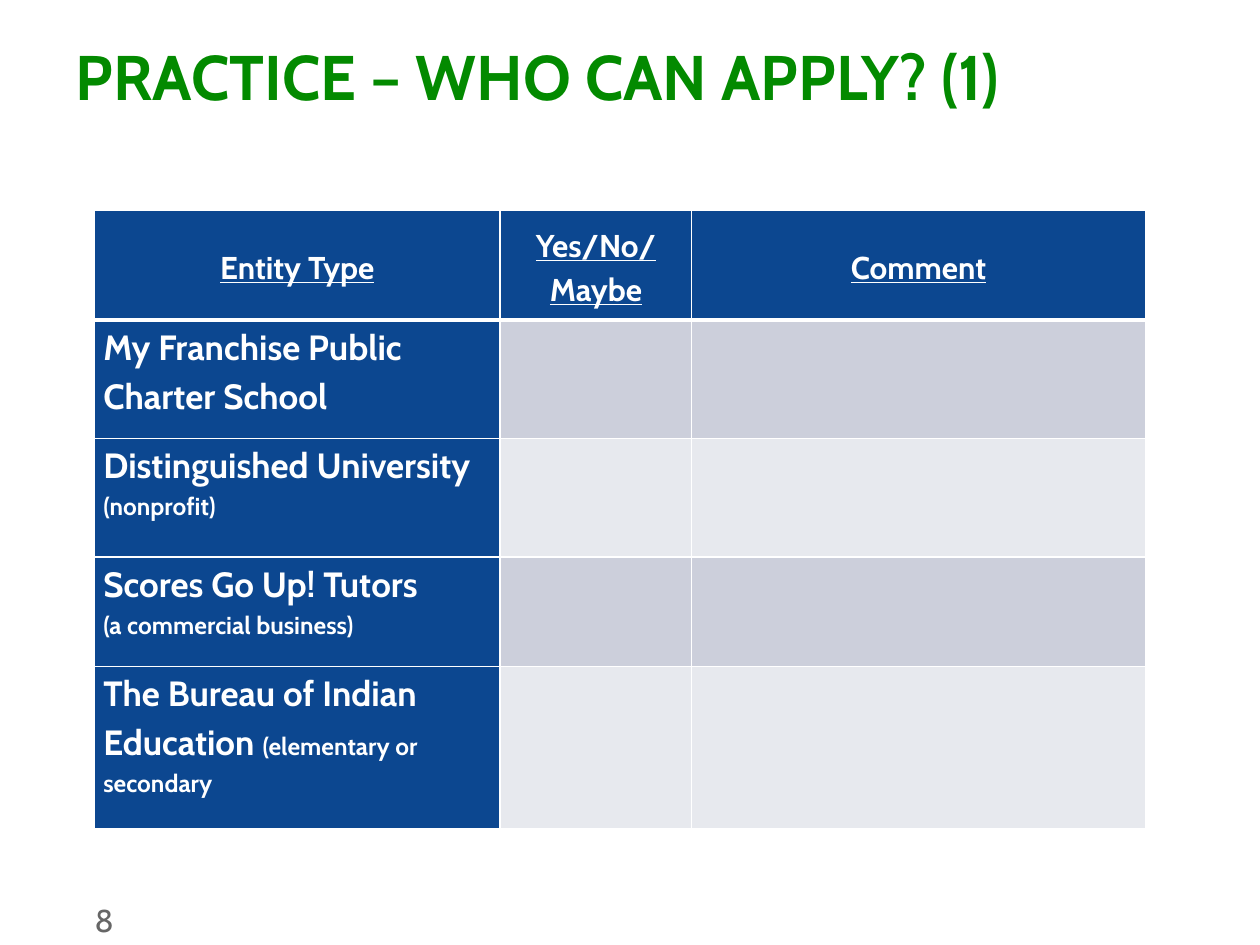
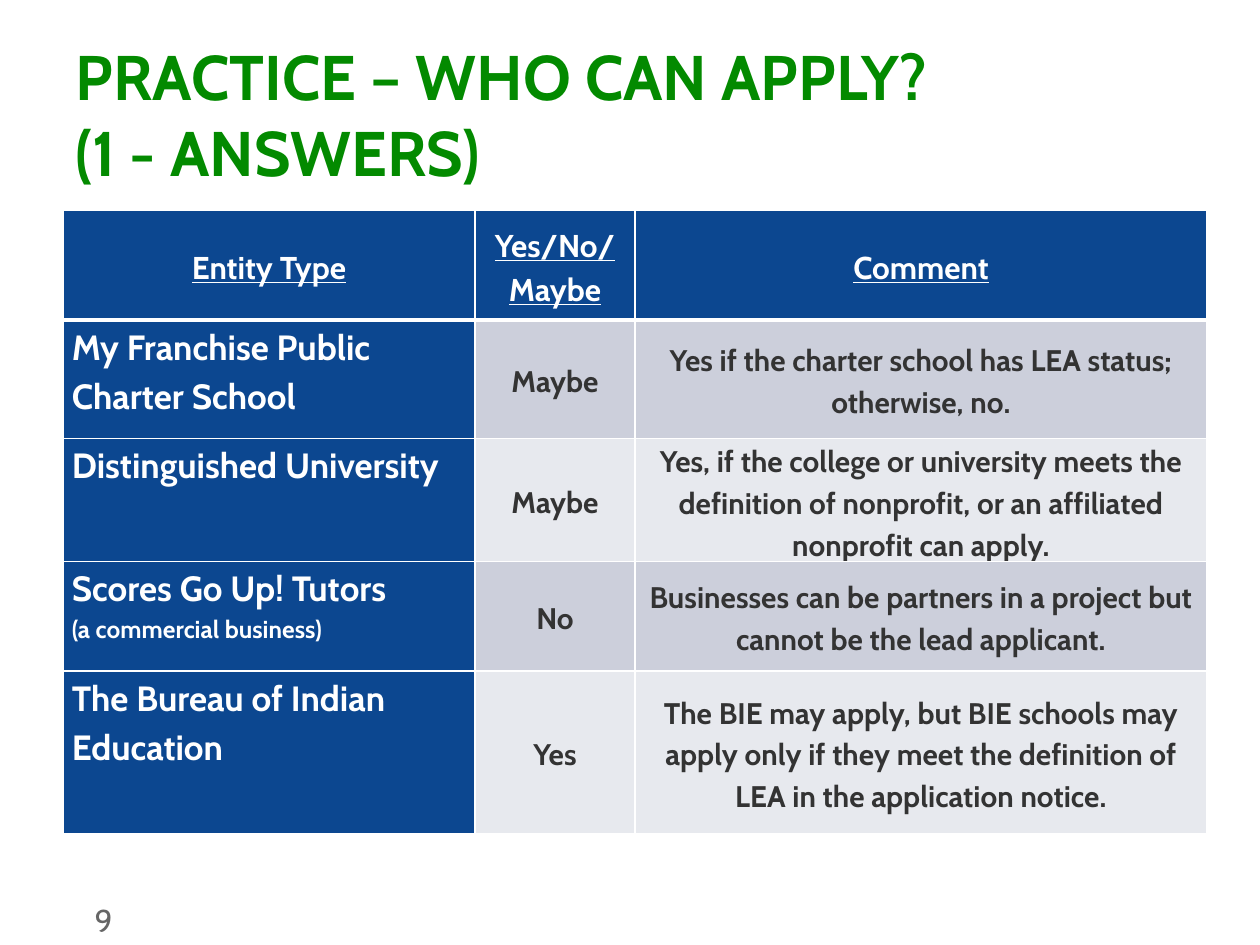
from lxml import etree
from pptx import Presentation
from pptx.dml.color import RGBColor
from pptx.enum.text import MSO_ANCHOR, MSO_AUTO_SIZE, PP_ALIGN
from pptx.oxml.ns import qn
from pptx.util import Inches, Pt

TOP, MIDDLE = MSO_ANCHOR.TOP, MSO_ANCHOR.MIDDLE
LEFT, CENTER = PP_ALIGN.LEFT, PP_ALIGN.CENTER
NO_FIT = MSO_AUTO_SIZE.NONE

FONT = "Cabin"
GREEN, BLUE, WHITE = "038A00", "0C4790", "FFFFFF"
GRAY, DARK = "666666", "333333"
BANDS = ["CCCFDB", "E7E9EE"]
ROW_HEIGHTS = [0.87, 0.94, 0.94, 0.87, 1.29]
HEADER = [["Entity Type"], ["Yes/No/", "Maybe"], ["Comment"]]


def color(hex_code):
    return RGBColor.from_string(hex_code)


def add_run(p, text, size, hex_code, bold=True, underline=False):
    r = p.add_run()
    r.text = text
    r.font.name = FONT
    r.font.size = Pt(size)
    r.font.bold = bold
    r.font.underline = underline
    r.font.color.rgb = color(hex_code)


SLIDES = [
    {
        "title": ["PRACTICE – WHO CAN APPLY? (1)"],
        "number": "8",
        "left": 0.75,
        "cols": [3.22, 1.52, 3.6],
        "rows": [
            ([[("My Franchise Public Charter School", 20)]], "", ""),
            ([[("Distinguished University ", 20), ("(nonprofit)", 14)]], "", ""),
            ([[("Scores Go Up! Tutors", 20)], [("(a commercial business)", 14)]], "", ""),
            ([[("The Bureau of Indian Education ", 20),
               ("(elementary or secondary", 14)]], "", ""),
        ],
    },
    {
        "title": ["PRACTICE – WHO CAN APPLY?", "(1 - ANSWERS)"],
        "number": "9",
        "left": 0.5,
        "cols": [3.27, 1.27, 4.54],
        "rows": [
            ([[("My Franchise Public Charter School", 20)]], "Maybe",
             "Yes if the charter school has LEA status; otherwise, no."),
            ([[("Distinguished University", 20)]], "Maybe",
             "Yes, if the college or university meets the definition of nonprofit, "
             "or an affiliated nonprofit can apply."),
            ([[("Scores Go Up! Tutors", 20)], [("(a commercial business)", 14)]], "No",
             "Businesses can be partners in a project but cannot be the lead applicant."),
            ([[("The Bureau of Indian Education", 20)]], "Yes",
             "The BIE may apply, but BIE schools may apply only if they meet the "
             "definition of LEA in the application notice."),
        ],
    },
]

prs = Presentation()
prs.slide_width = Inches(10)
prs.slide_height = Inches(7.5)

for page in SLIDES:
    s = prs.slides.add_slide(prs.slide_layouts[5])

    title = s.shapes.title
    title.left, title.top = Inches(0.5), Inches(0.25)
    title.width, title.height = Inches(9), Inches(0.62)
    tf = title.text_frame
    tf.word_wrap = True
    tf.auto_size = NO_FIT
    tf.vertical_anchor = TOP
    p = tf.paragraphs[0]
    p.alignment = LEFT
    for i, line in enumerate(page["title"]):
        if i:
            p.add_line_break()
        add_run(p, line, 36, GREEN)

    sp = s.shapes.add_textbox(Inches(0.75), Inches(7.1), Inches(0.58), Inches(0.4))
    tf = sp.text_frame
    tf.word_wrap = True
    tf.margin_left = tf.margin_right = 0
    add_run(tf.paragraphs[0], page["number"], 18, GRAY, bold=False)

    cols = page["cols"]
    frame = s.shapes.add_table(
        len(ROW_HEIGHTS), len(cols), Inches(page["left"]), Inches(1.67),
        Inches(sum(cols)), Inches(sum(ROW_HEIGHTS)))
    table = frame.table
    table.first_row = table.horz_banding = False
    for col, width in zip(table.columns, cols):
        col.width = Inches(width)
    for row, height in zip(table.rows, ROW_HEIGHTS):
        row.height = Inches(height)

    for i in range(len(ROW_HEIGHTS)):
        for j in range(len(cols)):
            cell = table.cell(i, j)
            cell.margin_left = cell.margin_right = Inches(0.07)
            cell.margin_top = cell.margin_bottom = 0
            is_header, is_entity = i == 0, i > 0 and j == 0
            cell.vertical_anchor = TOP if is_entity else MIDDLE

            tcPr = cell._tc.get_or_add_tcPr()
            for side in "LRTB":
                thick = (i, side) in [(0, "B"), (1, "T")]
                ln = etree.SubElement(tcPr, qn("a:ln" + side), w=str(Pt(3 if thick else 1)))
                fill = etree.SubElement(ln, qn("a:solidFill"))
                etree.SubElement(fill, qn("a:srgbClr"), val=WHITE)
            cell.fill.solid()
            cell.fill.fore_color.rgb = color(
                BLUE if is_header or is_entity else BANDS[(i - 1) % 2])

            if is_header:
                paragraphs = [[(line, 18)] for line in HEADER[j]]
            elif is_entity:
                paragraphs = page["rows"][i - 1][0]
            else:
                text = page["rows"][i - 1][j]
                paragraphs = [[(text, 17)]] if text else []
            tf = cell.text_frame
            for k, runs in enumerate(paragraphs):
                p = tf.add_paragraph() if k else tf.paragraphs[0]
                p.alignment = LEFT if is_entity else CENTER
                p.line_spacing = 1.15
                for text, size in runs:
                    add_run(p, text, size, WHITE if is_header or is_entity else DARK,
                            underline=is_header)

prs.save("out.pptx")
